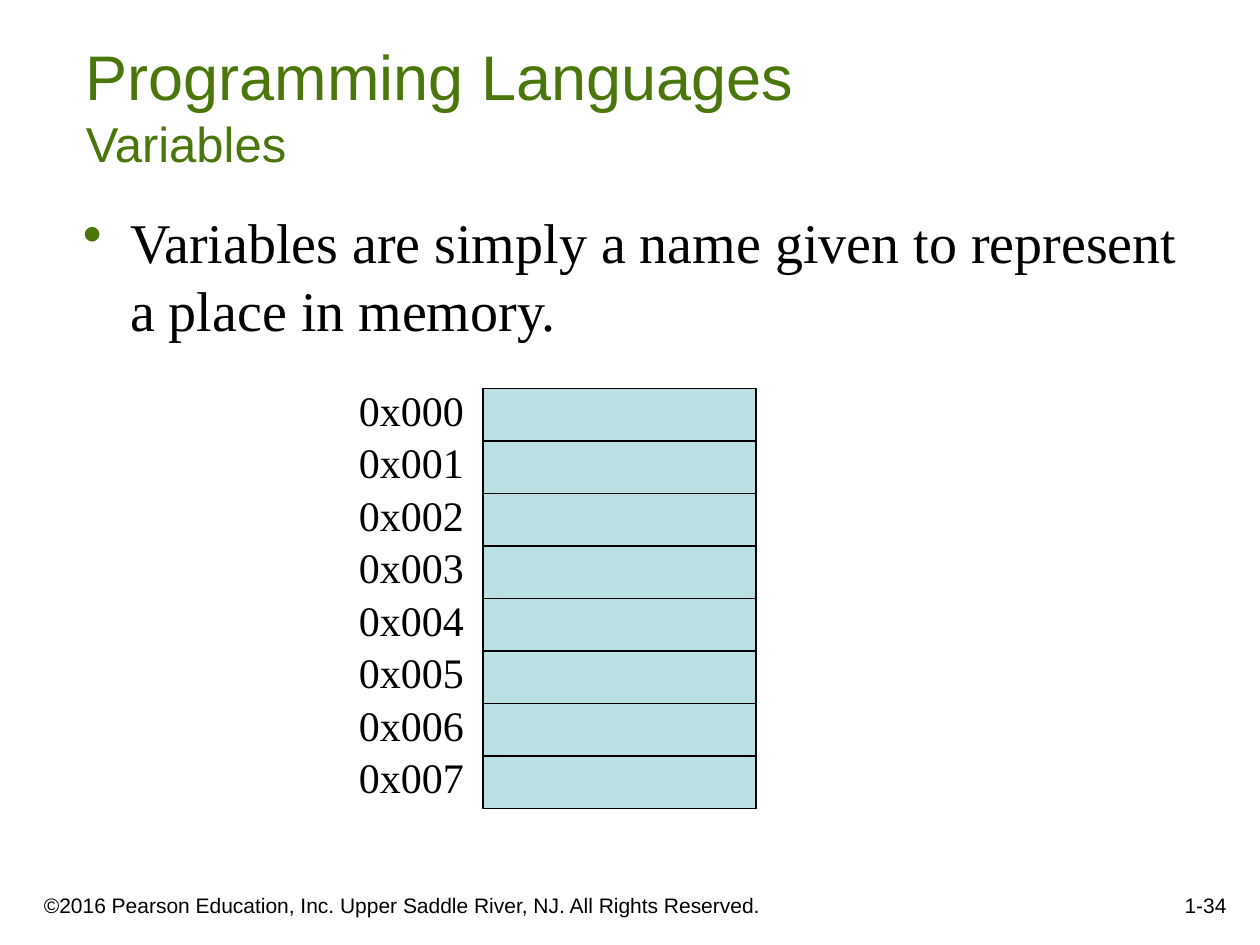
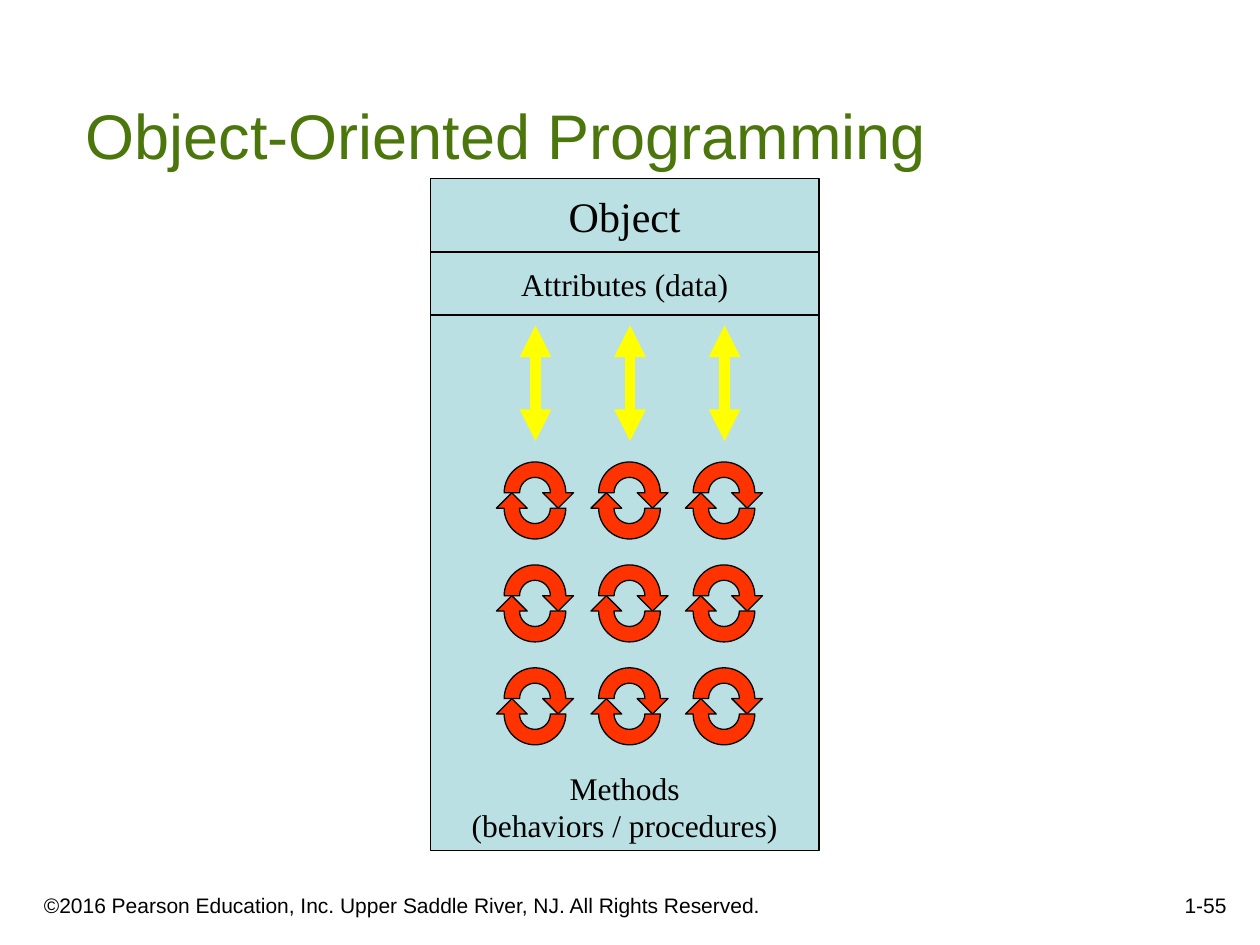
import pptx
import pptx.dml.color
import pptx.enum.shapes
import pptx.enum.text
import pptx.util
from lxml import etree
from pptx.oxml.ns import qn

Pt = pptx.util.Pt
RGBColor = pptx.dml.color.RGBColor
MSO_SHAPE = pptx.enum.shapes.MSO_SHAPE
MSO_CONNECTOR = pptx.enum.shapes.MSO_CONNECTOR
ALIGN = pptx.enum.text.PP_ALIGN
ANCHOR = pptx.enum.text.MSO_ANCHOR

# Shared look
GREEN = RGBColor(0x4B, 0x76, 0x0B)
BLACK = RGBColor(0x00, 0x00, 0x00)
TEAL = RGBColor(0xBB, 0xE0, 0xE3)
RED = RGBColor(0xFF, 0x33, 0x00)
YELLOW = RGBColor(0xFF, 0xFF, 0x00)
SANS = "Arial"
SERIF = "Times New Roman"
RIGHTS = "©2016 Pearson Education, Inc. Upper Saddle River, NJ. All Rights Reserved."


def style(font, size, name=SERIF, color=BLACK):
    font.size = Pt(size)
    font.name = name
    font.color.rgb = color


def write(shape, lines, size, name=SERIF, color=BLACK, align=ALIGN.LEFT,
          anchor=ANCHOR.TOP, wrap=True):
    """Fill a shape with one paragraph, broken into the given lines."""
    frame = shape.text_frame
    frame.word_wrap = wrap
    frame.vertical_anchor = anchor
    para = frame.paragraphs[0]
    para.alignment = align
    for i, line in enumerate(lines):
        if i:
            para.add_line_break()
        para.add_run().text = line
    style(para.font, size, name, color)
    return para


def add_text(slide, box, text, size, **look):
    shape = slide.shapes.add_textbox(*map(Pt, box))
    return write(shape, [text], size, **look)


def paint(shape, fill):
    shape.shadow.inherit = False
    shape.fill.solid()
    shape.fill.fore_color.rgb = fill
    shape.line.color.rgb = BLACK
    shape.line.width = Pt(0.75)


def add_box(slide, box):
    shape = slide.shapes.add_shape(MSO_SHAPE.RECTANGLE, *map(Pt, box))
    paint(shape, TEAL)
    return shape


def add_title(slide, title, sub=None):
    shape = slide.shapes.add_textbox(Pt(42), Pt(24), Pt(678), Pt(78))
    lines = [title, sub] if sub else [title]
    para = write(shape, lines, 36, SANS, GREEN, anchor=ANCHOR.BOTTOM)
    if sub:
        para.runs[1].font.size = Pt(28)


def add_page(deck, number, title, sub=None):
    """Start a slide with its title and footer."""
    slide = deck.slides.add_slide(deck.slide_layouts[6])
    foot = dict(name=SANS, anchor=ANCHOR.BOTTOM)
    add_text(slide, (18, 498, 438, 30), RIGHTS, 12, **foot)
    add_text(slide, (558, 492, 150, 36), number, 12, align=ALIGN.RIGHT, **foot)
    add_title(slide, title, sub)
    return slide


def add_bullet(slide, box, text):
    shape = slide.shapes.add_textbox(*map(Pt, box))
    shape.text_frame.margin_right = 0
    props = shape.text_frame.paragraphs[0]._p.get_or_add_pPr()
    props.set("marL", str(Pt(27)))
    props.set("indent", str(-Pt(27)))
    color = etree.SubElement(props, qn("a:buClr"))
    etree.SubElement(color, qn("a:srgbClr"), val=str(GREEN))
    etree.SubElement(props, qn("a:buChar"), char="•")
    write(shape, [text], 32)


def add_arrow(slide, x, low, high):
    """Draw a thick upright line with a head at both ends."""
    line = slide.shapes.add_connector(
        MSO_CONNECTOR.STRAIGHT, Pt(x), Pt(low), Pt(x), Pt(high))
    line.line.color.rgb = YELLOW
    line.line.width = Pt(6)
    edge = line.line._get_or_add_ln()
    for end in ("a:headEnd", "a:tailEnd"):
        etree.SubElement(edge, qn(end), type="triangle")
    etree.SubElement(line._element.spPr, qn("a:effectLst"))


def half_ring(rad):
    """Give the Bezier points of an upper half circle, right to left."""
    bend = 0.55 * rad
    return [(rad, -1), (rad, -1 - bend), (bend, -1 - rad), (0, -1 - rad),
            (-bend, -1 - rad), (-rad, -1 - bend), (-rad, -1)]


def curve(shape, starts):
    """Turn each three straight segments from a start into one curve."""
    lines = list(shape._element.iter(qn("a:lnTo")))
    for start in starts:
        trio = lines[start:start + 3]
        bend = etree.Element(qn("a:cubicBezTo"))
        trio[0].addprevious(bend)
        for line in trio:
            bend.append(line[0])
            line.getparent().remove(line)


def add_cycle(slide, x, y, unit=4.4):
    """Draw two half-ring arrows that chase each other around (x, y)."""
    ring = half_ring(2) + half_ring(4)[::-1] + [(5, -1), (3, 1), (1, -1)]
    for sign in (1, -1):
        spots = [(Pt(x + sign * unit * a), Pt(y + sign * unit * b))
                 for a, b in ring]
        outline = slide.shapes.build_freeform(*spots[0])
        outline.add_line_segments(spots[1:], close=True)
        shape = outline.convert_to_shape()
        curve(shape, (0, 3, 7, 10))
        paint(shape, RED)


def memory_slide(deck):
    slide = add_page(deck, "1-34", "Programming Languages", "Variables")
    add_bullet(slide, (40.3, 115.2, 653, 93),
               "Variables are simply a name given to represent "
               "a place in memory.")
    # Memory cells with their addresses
    for i in range(8):
        top = 222 + 30 * i
        add_box(slide, (276, top, 156, 30))
        add_text(slide, (198, top - 6, 74.4, 36), f"0x{i:03}", 24, wrap=False)


def object_slide(deck):
    slide = add_page(deck, "1-55", "Object-Oriented Programming")
    # Stacked parts of the object
    parts = [
        (102, 42, ["Object"], 24, ANCHOR.MIDDLE),
        (144, 36, ["Attributes (data)"], 18, ANCHOR.MIDDLE),
        (180, 306, ["Methods", "(behaviors / procedures)"], 18, ANCHOR.BOTTOM),
    ]
    for top, height, lines, size, anchor in parts:
        shape = add_box(slide, (246, top, 222, height))
        write(shape, lines, size, align=ALIGN.CENTER, anchor=anchor, wrap=False)
    # Methods in a grid, with arrows up to the data
    for col in range(3):
        x = 306 + 54 * col
        for row in range(3):
            add_cycle(slide, x - 0.3, 286 + 58.8 * row)
        add_arrow(slide, x, 252, 186)


def main():
    deck = pptx.Presentation()
    deck.slide_width = Pt(720)
    deck.slide_height = Pt(540)
    memory_slide(deck)
    object_slide(deck)
    deck.save("out.pptx")


if __name__ == "__main__":
    main()
